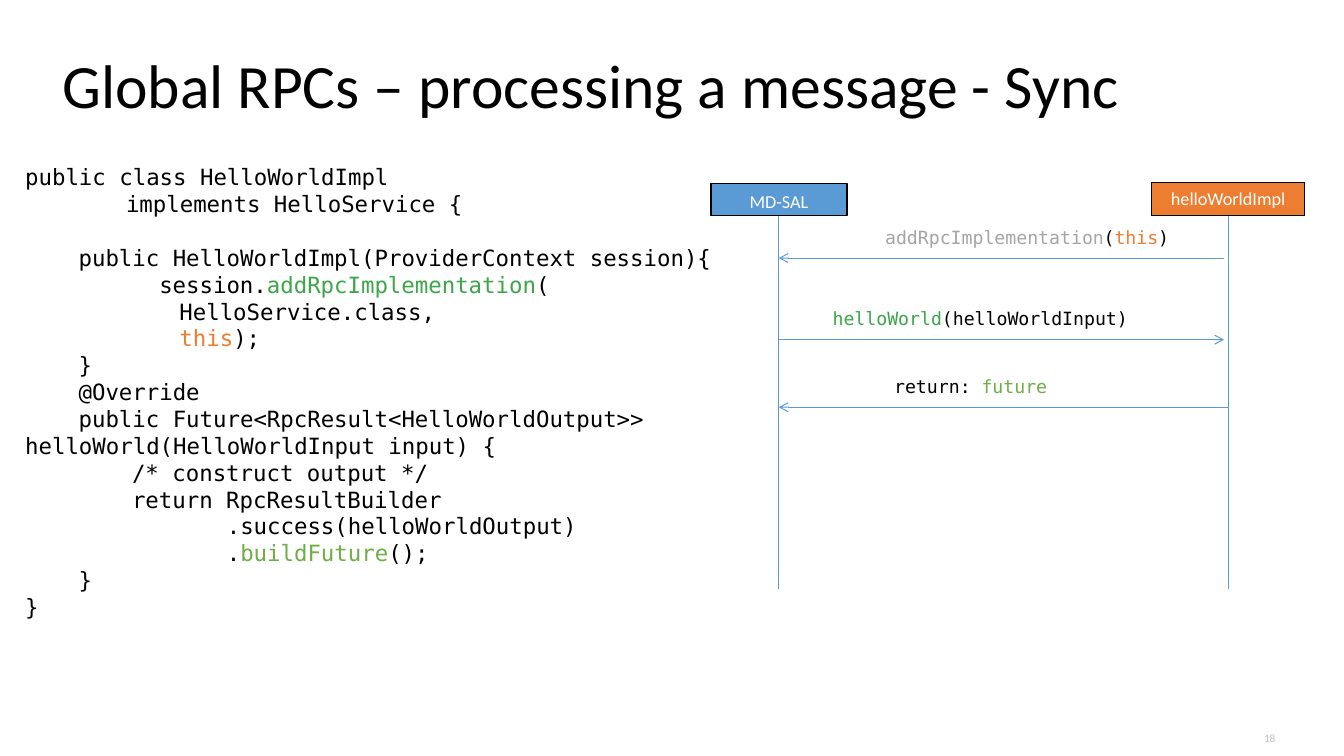
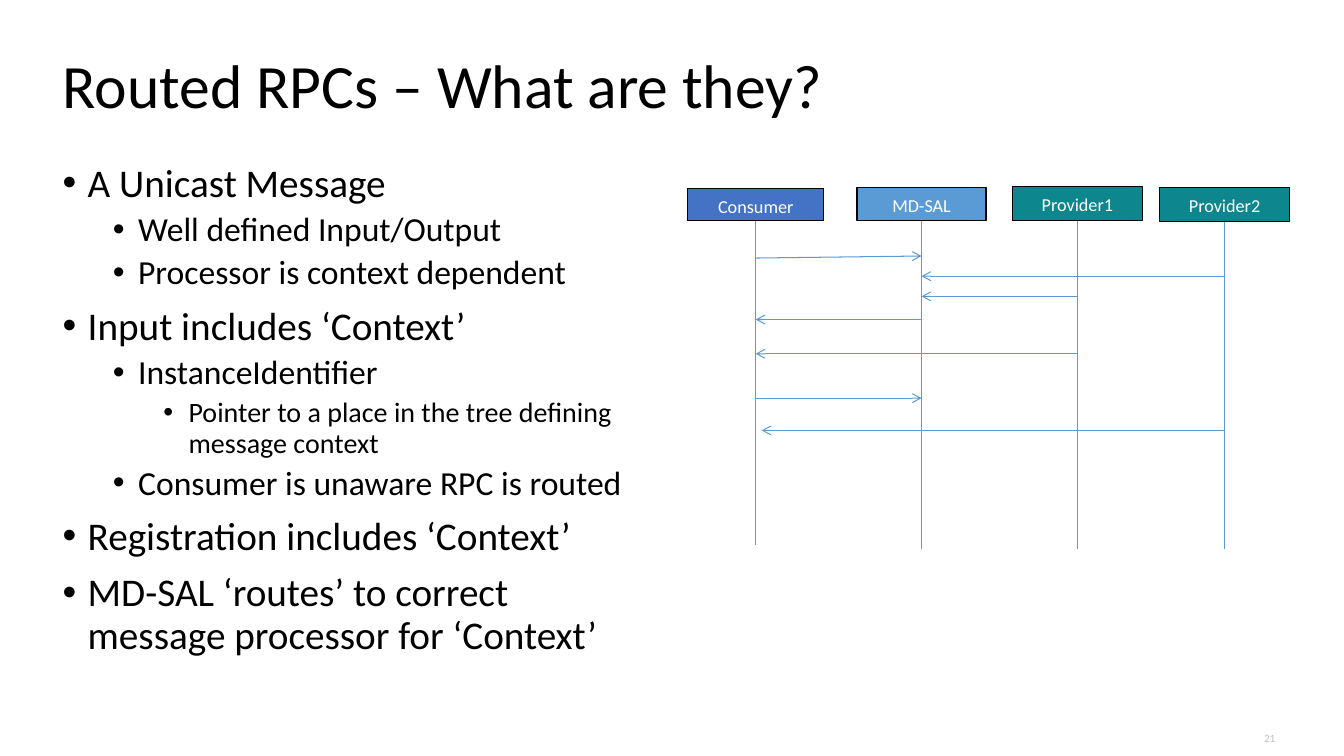
from lxml.etree import SubElement
from pptx import Presentation
from pptx.dml.color import RGBColor as RGB
from pptx.enum.shapes import MSO_CONNECTOR as Wire, MSO_SHAPE as Form
from pptx.enum.text import MSO_ANCHOR as Anchor, MSO_AUTO_SIZE as Fit, PP_ALIGN as Align
from pptx.oxml.ns import qn
from pptx.util import Emu, Pt

SCALE = 9144  # EMU in one px, 100 px to the inch


class Theme:
    sans, mono = "Calibri", "DejaVu Sans Mono"
    black, white, pale, grey = "000000", "FFFFFF", "BFBFBF", "A5A5A5"
    blue, navy, teal, orange = "5B9BD5", "4472C4", "0D868E", "ED7D31"
    green, leaf = "3DA649", "70AD47"
    title, code, tag, foot = 44, 16, 13, 8
    levels = (28, 24, 20)
    tight, lead = 0.9, Pt(19.2)


# Content: a run is (words, colour); plain text is one black run
STEP, TAB = 53, 100  # four letters of code, one tab stop
CODE = [  # indent, text
    (0, "public class HelloWorldImpl"),
    (TAB, "implements HelloService {"),
    (STEP, "public HelloWorldImpl(ProviderContext session){"),
    (133, [("session.", Theme.black), ("addRpcImplementation", Theme.green),
           ("(", Theme.black)]),
    (TAB + STEP, "HelloService.class,"),
    (TAB + STEP, [("this", Theme.orange), (");", Theme.black)]),
    (STEP, "}"),
    (STEP, "@Override"),
    (STEP, "public Future<RpcResult<HelloWorldOutput>> helloWorld(HelloWorldInput input) {"),
    (2 * STEP, "/* construct output */"),
    (2 * STEP, "return RpcResultBuilder"),
    (2 * TAB, ".success(helloWorldOutput)"),
    (2 * TAB, [(".", Theme.black), ("buildFuture", Theme.leaf), ("();", Theme.black)]),
    (STEP, "}"),
    (0, "}"),
]
SPACED = 2  # the code line with one free line above it

POINTS = [  # level, text
    (0, "A Unicast Message"),
    (1, "Well defined Input/Output"),
    (1, "Processor is context dependent"),
    (0, "Input includes ‘Context’"),
    (1, "InstanceIdentifier"),
    (2, "Pointer to a place in the tree defining message context"),
    (1, "Consumer is unaware RPC is routed"),
    (0, "Registration includes ‘Context’"),
    (0, "MD-SAL ‘routes’ to correct message processor for ‘Context’"),
]

# Lanes: name, fill, box (left, top, width, height), foot of line, insets
WIDE, SLIM = (13, 7), (10, 5)
SYNC = dict(
    lanes=[("MD-SAL", Theme.blue, (705, 182, 135, 32), 584, WIDE),
           ("helloWorldImpl", Theme.orange, (1142, 181, 152, 33), 584, SLIM)],
    # Calls: start and end, each (lane, shift, y)
    calls=[((1, -4, 256), (0, 0, 256)),
           ((0, 0, 337), (1, -4, 337)),
           ((1, 0, 404), (0, 0, 404))],
    tags=[((868, 222, 305, 30), [("addRpcImplementation", Theme.grey), ("(", Theme.black),
                                 ("this", Theme.orange), (")", Theme.black)]),
          ((816, 302, 316, 30), [("helloWorld", Theme.green),
                                 ("(helloWorldInput)", Theme.black)]),
          ((877, 370, 173, 30), [("return: ", Theme.black), ("future", Theme.leaf)])],
)
ROUTED = dict(
    lanes=[("Consumer", Theme.navy, (682, 187, 135, 32), 541, WIDE),
           ("MD-SAL", Theme.blue, (850, 186, 128, 33), 545, WIDE),
           ("Provider1", Theme.teal, (1004, 185, 129, 34), 545, WIDE),
           ("Provider2", Theme.teal, (1150, 186, 129, 34), 545, WIDE)],
    calls=[((0, 0, 256), (1, 0, 254)),
           ((3, 0, 274), (1, 0, 274)),
           ((2, 0, 294), (1, 0, 294)),
           ((1, 0, 317), (0, 0, 317)),
           ((2, 0, 351), (0, 0, 351)),
           ((0, 0, 395), (1, 0, 395)),
           ((3, 0, 427), (0, 6, 427))],
    tags=[],
)


def px(n):
    return Emu(round(n * SCALE))


def place(shape, box):
    shape.left, shape.top, shape.width, shape.height = map(px, box)


def say(para, text, size=Theme.tag, font=Theme.sans, color=Theme.black,
        align=Align.LEFT, lead=1.0, above=0):
    """Write text, plain or as coloured runs, into one paragraph."""
    para.alignment, para.line_spacing, para.space_before = align, lead, Pt(above)
    for words, tint in [(text, color)] if isinstance(text, str) else text:
        run = para.add_run()
        run.text = words
        run.font.size, run.font.name = Pt(size), font
        run.font.color.rgb = RGB.from_string(tint)


def setup(frame, insets=SLIM, anchor=Anchor.TOP, wrap=True, fit=Fit.NONE):
    frame.margin_left = frame.margin_right = px(insets[0])
    frame.margin_top = frame.margin_bottom = px(insets[1])
    frame.vertical_anchor, frame.word_wrap, frame.auto_size = anchor, wrap, fit
    return frame.paragraphs[0]


def indent(para, left, first, mark=None):
    props = para._p.get_or_add_pPr()
    props.set("marL", str(px(left)))
    props.set("indent", str(px(first)))
    if mark:
        SubElement(props, qn("a:buChar")).set("char", mark)
    else:
        SubElement(props, qn("a:buNone"))


def wire(slide, start, end, arrow=False):
    line = slide.shapes.add_connector(Wire.STRAIGHT, *map(px, start + end))
    line.line.color.rgb = RGB.from_string(Theme.blue)
    line.line.width = Pt(0.75)
    if arrow:
        SubElement(line.line._get_or_add_ln(), qn("a:tailEnd")).set("type", "arrow")
    SubElement(line._element.spPr, qn("a:effectLst"))
    return line


def base(deck, title, number, box):
    """Add a slide with title and number; return it with its body frame."""
    slide = deck.slides.add_slide(deck.slide_layouts[1])
    head, body = slide.placeholders
    place(head, (52, 32, 1241, 112))
    say(setup(head.text_frame, anchor=Anchor.MIDDLE), title,
        size=Theme.title, lead=Theme.tight)
    place(body, box)
    setup(body.text_frame)
    foot = slide.shapes.add_textbox(*map(px, (1226, 712, 52, 40)))
    say(setup(foot.text_frame, WIDE, Anchor.MIDDLE), number,
        size=Theme.foot, color=Theme.pale, align=Align.RIGHT)
    return slide, body.text_frame


def paras(frame, items):
    """Pair each item with its own paragraph."""
    for i, item in enumerate(items):
        yield i, item, frame.add_paragraph() if i else frame.paragraphs[0]


def draw(slide, lanes, calls, tags):
    """Draw a sequence chart: lanes, calls between them, call labels."""
    mids = []
    for name, fill, box, end, insets in lanes:
        left, top, width, height = box
        mid = left + width / 2
        mids.append(mid)
        rect = slide.shapes.add_shape(Form.RECTANGLE, *map(px, box))
        rect.shadow.inherit = False
        rect.fill.solid()
        rect.fill.fore_color.rgb = RGB.from_string(fill)
        rect.line.color.rgb = RGB.from_string(Theme.black)
        rect.line.width = Pt(1)
        say(setup(rect.text_frame, insets), name, color=Theme.white, align=Align.CENTER)
        wire(slide, (mid, top + height), (mid, end)).begin_connect(rect, 2)
    for call in calls:
        start, end = [(mids[lane] + shift, y) for lane, shift, y in call]
        wire(slide, start, end, arrow=True)
    for box, text in tags:
        tag = slide.shapes.add_textbox(*map(px, box))
        say(setup(tag.text_frame, wrap=False, fit=Fit.SHAPE_TO_FIT_TEXT), text,
            font=Theme.mono, lead=Theme.tight)


def main():
    deck = Presentation()
    deck.slide_width, deck.slide_height = px(1333), px(750)

    # Code beside its calls
    slide, frame = base(deck, "Global RPCs – processing a message - Sync", "18",
                        (15, 157, 708, 504))
    for i, (shift, text), para in paras(frame, CODE):
        say(para, text, size=Theme.code, font=Theme.mono, lead=Theme.lead,
            above=Theme.lead.pt if i == SPACED else 0)
        indent(para, 0, shift)
    draw(slide, **SYNC)

    # Bullets beside routed calls
    slide, frame = base(deck, "Routed RPCs – What are they?", "21", (52, 157, 600, 504))
    for i, (level, text), para in paras(frame, POINTS):
        para.level = level
        say(para, text, size=Theme.levels[level], lead=Theme.tight,
            above=5 if level else 10)
        indent(para, 25 + 50 * level, -25, "•")
    draw(slide, **ROUTED)

    deck.save("out.pptx")


if __name__ == "__main__":
    main()
